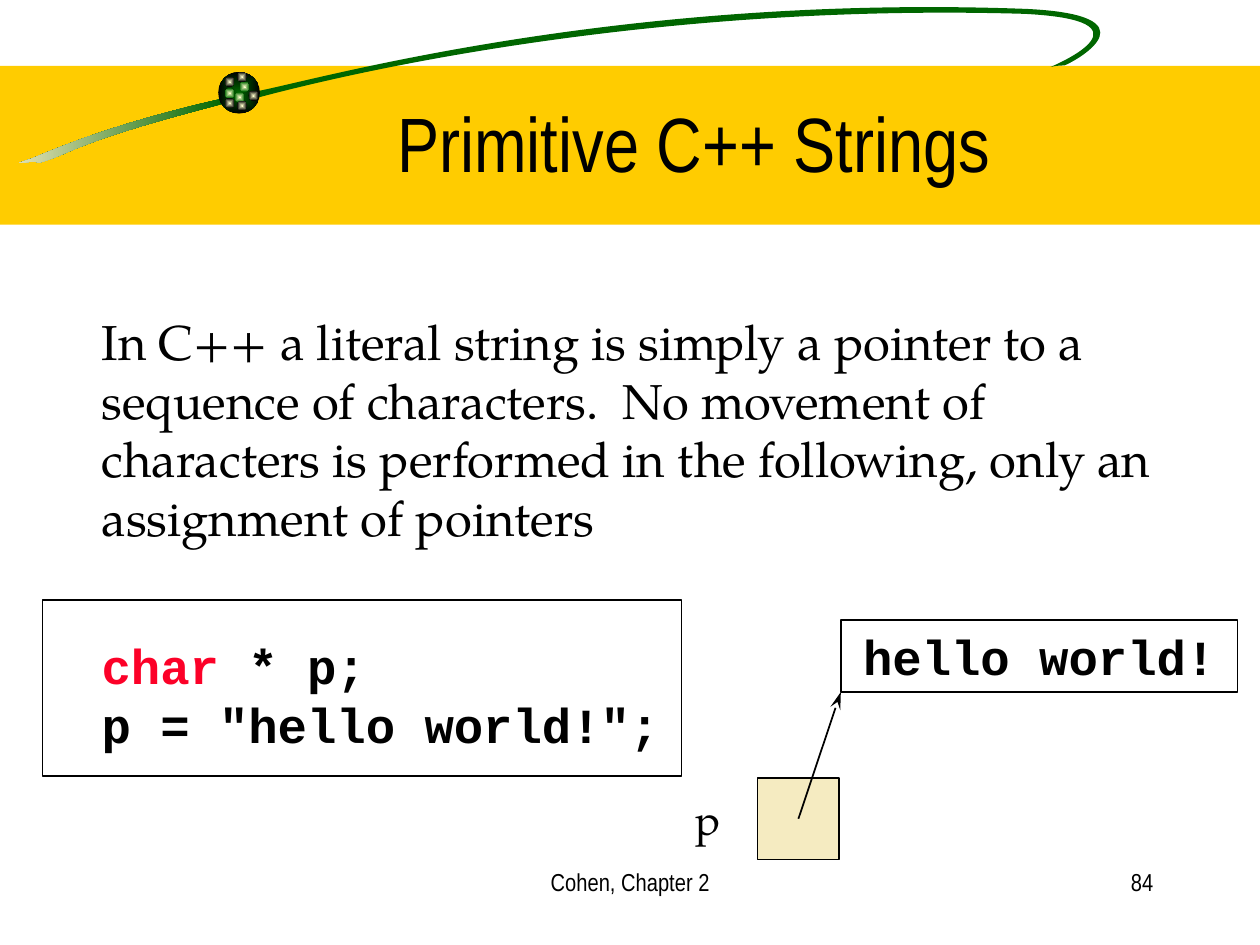
import pptx
import pptx.util
import pptx.dml.color
import pptx.enum.shapes
import pptx.enum.text
import pptx.oxml
import pptx.oxml.ns
from pptx.util import Cm, Pt

RGB = pptx.dml.color.RGBColor
SHAPE = pptx.enum.shapes.MSO_SHAPE
ALIGN = pptx.enum.text.PP_ALIGN
ANCHOR = pptx.enum.text.MSO_ANCHOR

BLACK = RGB(0x00, 0x00, 0x00)
WHITE = RGB(0xFF, 0xFF, 0xFF)
GOLD = RGB(0xFF, 0xCC, 0x00)
GREEN = RGB(0x00, 0x66, 0x00)
CREAM = RGB(0xF5, 0xEB, 0xC1)
SPARK = RGB(0xFF, 0xFF, 0xCC)
RED = RGB(0xFC, 0x01, 0x28)

SANS = "Arial Narrow"
SERIF = "TeX Gyre Pagella"
MONO = "Courier New"

CENTRE_OUT = ('<a:path path="rect"><a:fillToRect l="50000" t="50000" '
              'r="50000" b="50000"/></a:path>')
RIGHT_TO_LEFT = '<a:lin ang="10800000" scaled="0"/>'

# Swoosh outlines in cm: a start point, then three points for each cubic curve
TAIL = [(4.52, 1.98),
        (2.31, 2.49), (1.24, 2.95), (0.64, 3.2),
        (0.03, 3.4), (0.66, 3.2), (0.79, 3.28),
        (1.45, 3.1), (1.45, 2.87), (4.55, 2.08)]
LOOP = [(5.13, 1.85),
        (6.25, 1.65), (12.34, -0.13), (20.68, 0.18),
        (23.29, 0.3), (21.77, 1.19), (21.46, 1.32),
        (21.46, 1.32), (21.29, 1.32), (21.18, 1.35),
        (21.44, 1.24), (23.27, 0.41), (20.65, 0.28),
        (13.92, 0.08), (8.13, 1.19), (5.23, 1.96)]

# Sparks on the ball: offset in cm and outer colour
SPARKS = [(0.43, 0.2, GREEN), (0.13, 0.1, BLACK), (0.13, 0.33, GREEN),
          (0.33, 0.41, GREEN), (0.61, 0.38, BLACK), (0.38, 0.58, BLACK),
          (0.13, 0.53, BLACK), (0.38, 0, BLACK)]


def style(sp, fill=None, line=None):
    sp.shadow.inherit = False
    if fill is None:
        sp.fill.background()
    else:
        sp.fill.solid()
        sp.fill.fore_color.rgb = fill
    if line is None:
        sp.line.fill.background()
    else:
        sp.line.color.rgb = line
        sp.line.width = Pt(1)
    return sp


def add_box(slide, kind, x, y, w, h, fill=None, line=None):
    sp = slide.shapes.add_shape(kind, Cm(x), Cm(y), Cm(w), Cm(h))
    return style(sp, fill, line)


def set_gradient(sp, start, end, direction):
    grad = pptx.oxml.parse_xml(
        f'<a:gradFill {pptx.oxml.ns.nsdecls("a")} rotWithShape="1"><a:gsLst>'
        f'<a:gs pos="0"><a:srgbClr val="{start}"/></a:gs>'
        f'<a:gs pos="100000"><a:srgbClr val="{end}"/></a:gs>'
        f'</a:gsLst>{direction}</a:gradFill>')
    old = sp._element.spPr.find(pptx.oxml.ns.qn("a:solidFill"))
    old.getparent().replace(old, grad)


def add_curve(slide, x, y, outline, fill):
    points = [(Cm(px), Cm(py)) for px, py in outline]
    fb = slide.shapes.build_freeform(*points[0])
    fb.add_line_segments(points[1:], close=True)
    sp = fb.convert_to_shape(Cm(x), Cm(y))
    # Join each three line segments into one cubic curve
    segments = list(sp._element.iter(pptx.oxml.ns.qn("a:lnTo")))
    for i in range(0, len(outline) - 1, 3):
        curve = pptx.oxml.parse_xml(
            f'<a:cubicBezTo {pptx.oxml.ns.nsdecls("a")}/>')
        segments[i].addprevious(curve)
        for segment in segments[i:i + 3]:
            curve.append(segment[0])
            segment.getparent().remove(segment)
    return style(sp, fill)


def add_text(slide, x, y, w, h):
    sp = slide.shapes.add_textbox(Cm(x), Cm(y), Cm(w), Cm(h))
    sp.text_frame.word_wrap = True
    return sp.text_frame


def add_run(p, text, size, font, color=BLACK, bold=False):
    r = p.add_run()
    r.text = text
    r.font.size = Pt(size)
    r.font.name = font
    r.font.color.rgb = color
    r.font.bold = bold


def banner(slide, x, y, w, h):
    # Gold band with the green swoosh and its ball
    add_box(slide, SHAPE.RECTANGLE, x, y + 1.33, w, h - 1.33, GOLD)
    tail = add_curve(slide, x, y, TAIL, GREEN)
    set_gradient(tail, GREEN, CREAM, RIGHT_TO_LEFT)
    add_curve(slide, x, y, LOOP, GREEN)
    bx, by = x + 4.4, y + 1.45
    ball = add_box(slide, SHAPE.OVAL, bx, by, 0.84, 0.84, GREEN)
    set_gradient(ball, GREEN, BLACK, CENTRE_OUT)
    for dx, dy, color in SPARKS:
        spark = add_box(slide, SHAPE.OVAL, bx + dx, by + dy, 0.2, 0.2, SPARK)
        set_gradient(spark, SPARK, color, CENTRE_OUT)
    # Title
    tf = add_text(slide, x + 3.2, y + 1.27, 21.59, 3.18)
    tf.vertical_anchor = ANCHOR.MIDDLE
    tf.paragraphs[0].alignment = ALIGN.CENTER
    add_run(tf.paragraphs[0], "Primitive C++ Strings", 44, SANS)


def body(slide, x, y, w, h):
    # Frame behind the code lines
    add_box(slide, SHAPE.RECTANGLE, x - 0.94, y + 5.94, 12.88, 3.56,
            WHITE, BLACK)
    # Explanation followed by code
    tf = add_text(slide, x, y, w, h)
    add_run(tf.paragraphs[0],
            "In C++ a literal string is simply a pointer to a sequence of "
            "characters.  No movement of characters is performed in the "
            "following, only an assignment of pointers", 28, SERIF)
    p = tf.add_paragraph()
    p.space_before = Pt(51)
    add_run(p, "char", 28, MONO, RED, True)
    add_run(p, " * p;", 28, MONO, bold=True)
    p = tf.add_paragraph()
    add_run(p, 'p = "hello world!";', 28, MONO, bold=True)


def pointer_diagram(slide, x, y, w, h):
    # Pointer cell and its label
    side = 1.65
    cx, cy = x + 1.5, y + h - side
    add_box(slide, SHAPE.RECTANGLE, cx, cy, side, side, CREAM, BLACK)
    tf = add_text(slide, x, cy + 0.2, 1.7, 1.27)
    add_run(tf.paragraphs[0], "p", 24, SERIF)
    # Characters pointed at
    tx, th = x + 3.18, 1.45
    add_box(slide, SHAPE.RECTANGLE, tx, y, w - 3.18, th, line=BLACK)
    tf = add_text(slide, tx + 0.2, y, 7.82, th)
    add_run(tf.paragraphs[0], "hello world!", 28, MONO, bold=True)
    # Arrow from the cell's centre to the corner of the characters
    arrow = slide.shapes.add_connector(
        pptx.enum.shapes.MSO_CONNECTOR.STRAIGHT,
        Cm(cx + side / 2), Cm(cy + side / 2), Cm(tx), Cm(y + th))
    arrow.line.color.rgb = BLACK
    arrow.line.width = Pt(1)
    ns = pptx.oxml.ns.nsdecls("a")
    arrow.line._get_or_add_ln().append(
        pptx.oxml.parse_xml(f'<a:tailEnd {ns} type="stealth" len="lg"/>'))
    arrow._element.spPr.append(pptx.oxml.parse_xml(f"<a:effectLst {ns}/>"))


def footer(slide, x, y, w, h):
    # Source in the middle, page number at the right
    for text, left, width, align in [
            ("Cohen, Chapter 2", x, 8.05, ALIGN.CENTER),
            ("84", x + w - 5.28, 5.28, ALIGN.RIGHT)]:
        tf = add_text(slide, left, y, width, h)
        tf.paragraphs[0].alignment = align
        add_run(tf.paragraphs[0], text, 14, SANS)


def main():
    prs = pptx.Presentation()
    prs.slide_width, prs.slide_height = Cm(25.4), Cm(19.05)
    slide = prs.slides.add_slide(prs.slide_layouts[6])
    banner(slide, 0, 0, 25.4, 4.53)
    body(slide, 1.8, 6.15, 22.86, 9.17)
    pointer_diagram(slide, 13.77, 12.5, 11.18, 4.83)
    footer(slide, 8.68, 17.35, 14.82, 1.27)
    prs.save("out.pptx")


if __name__ == "__main__":
    main()
